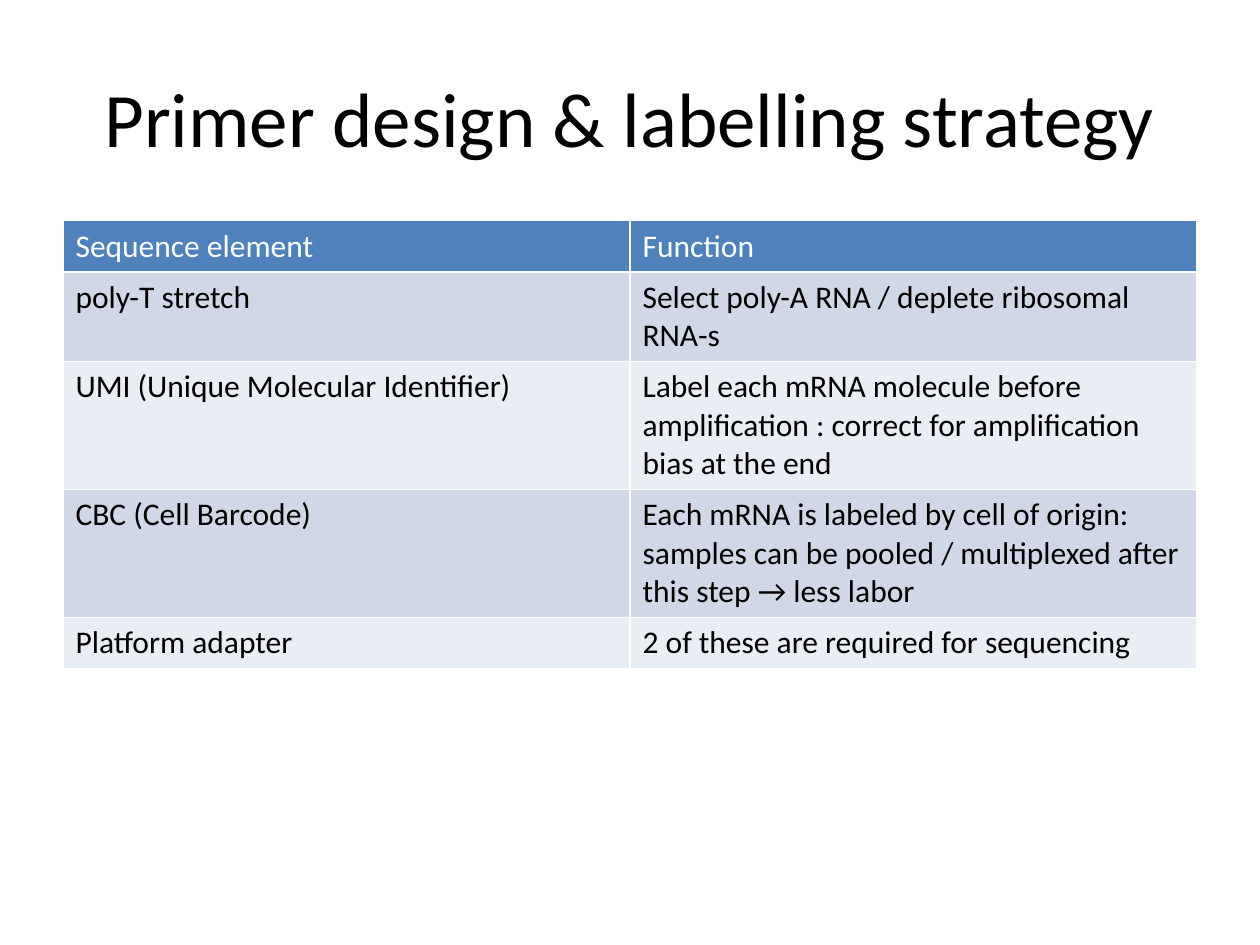
"""Build a slide with a table of primer sequence elements and their functions."""

from dataclasses import dataclass

from pptx import Presentation
from pptx.dml.color import RGBColor
from pptx.enum.text import MSO_ANCHOR, PP_ALIGN
from pptx.util import Cm, Pt

CENTER = PP_ALIGN.CENTER
MIDDLE = MSO_ANCHOR.MIDDLE

TITLE = "Primer design & labelling strategy"
HEADER = ("Sequence element", "Function")
ELEMENTS = [
    ("poly-T stretch", "Select poly-A RNA / deplete ribosomal RNA-s"),
    (
        "UMI (Unique Molecular Identifier)",
        "Label each mRNA molecule before amplification : "
        "correct for amplification bias at the end",
    ),
    (
        "CBC (Cell Barcode)",
        "Each mRNA is labeled by cell of origin: samples can be pooled / "
        "multiplexed after this step → less labor",
    ),
    ("Platform adapter", "2 of these are required for sequencing"),
]
ROW_LINES = (1, 2, 3, 3, 1)


@dataclass(frozen=True)
class Theme:
    font: str = "Calibri"
    title_size: int = 44
    table_size: int = 18
    text: str = "000000"
    header_text: str = "FFFFFF"
    header_fill: str = "4F81BD"
    bands: tuple = ("D0D8E8", "E9EDF4")


THEME = Theme()
SLIDE_WIDTH, SLIDE_HEIGHT = Cm(25.4), Cm(19.05)
MARGIN = Cm(1.27)
CONTENT_WIDTH = SLIDE_WIDTH - 2 * MARGIN
TITLE_TOP, TITLE_HEIGHT = Cm(0.76), Cm(3.18)
TABLE_TOP = Cm(4.45)
LINE_HEIGHT, CELL_PADDING = Cm(0.77), Cm(0.26)


def format_text(text_frame, size, color):
    for paragraph in text_frame.paragraphs:
        for run in paragraph.runs:
            run.font.name = THEME.font
            run.font.size = Pt(size)
            run.font.bold = False
            run.font.color.rgb = RGBColor.from_string(color)


def add_title(slide):
    title = slide.shapes.title
    title.left, title.top = MARGIN, TITLE_TOP
    title.width, title.height = CONTENT_WIDTH, TITLE_HEIGHT
    title.text_frame.text = TITLE
    title.text_frame.vertical_anchor = MIDDLE
    title.text_frame.paragraphs[0].alignment = CENTER
    format_text(title.text_frame, THEME.title_size, THEME.text)


def add_element_table(slide):
    rows = [HEADER, *ELEMENTS]
    heights = [lines * LINE_HEIGHT + CELL_PADDING for lines in ROW_LINES]
    table = slide.shapes.add_table(
        len(rows), len(HEADER), MARGIN, TABLE_TOP, CONTENT_WIDTH, sum(heights)
    ).table
    for row_index, (values, height) in enumerate(zip(rows, heights)):
        table.rows[row_index].height = height
        is_header = row_index == 0
        fill = THEME.header_fill if is_header else THEME.bands[(row_index - 1) % 2]
        color = THEME.header_text if is_header else THEME.text
        for column_index, value in enumerate(values):
            cell = table.cell(row_index, column_index)
            cell.text_frame.text = value
            cell.fill.solid()
            cell.fill.fore_color.rgb = RGBColor.from_string(fill)
            format_text(cell.text_frame, THEME.table_size, color)


def main():
    presentation = Presentation()
    presentation.slide_width = SLIDE_WIDTH
    presentation.slide_height = SLIDE_HEIGHT
    slide = presentation.slides.add_slide(presentation.slide_layouts[5])
    add_title(slide)
    add_element_table(slide)
    presentation.save("out.pptx")


if __name__ == "__main__":
    main()
